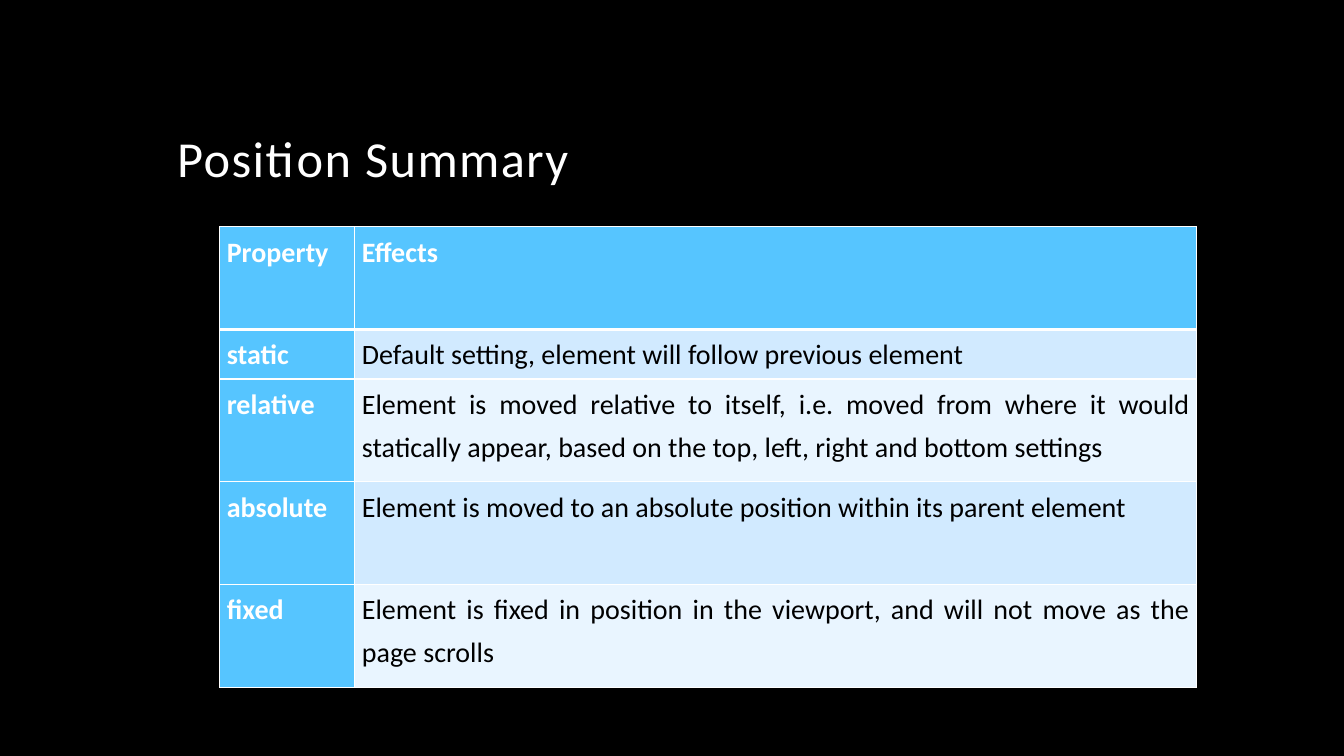
from lxml import etree
from pptx import Presentation
from pptx import util as u
from pptx.dml.color import RGBColor
from pptx.enum import text
from pptx.oxml.ns import qn

PX = 9144  # EMU per px, 100 px to the inch
FONT = "Calibri"
WHITE, BLACK, SKY = "FFFFFF", "000000", "56C5FF"
BANDS = ("D1EAFF", "E9F5FF")
COLUMN_WIDTHS = (134, 835)
ROW_HEIGHTS = (102, 49, 102, 102, 102)
ROWS = (
    ("Property", "Effects"),
    ("static", "Default setting, element will follow previous element"),
    ("relative", "Element is moved relative to itself, i.e. moved from where it would "
                 "statically appear, based on the top, left, right and bottom settings"),
    ("absolute", "Element is moved to an absolute position within its parent element"),
    ("fixed", "Element is fixed in position in the viewport, and will not move as the page scrolls"),
)


def px(*lengths):
    return [u.Emu(length * PX) for length in lengths]


def paint(fill, color):
    fill.solid()
    fill.fore_color.rgb = RGBColor.from_string(color)


def write(paragraph, wording, size, color, spacing, bold=False):
    paragraph.text = wording
    paragraph.line_spacing = spacing
    font = paragraph.font
    font.name, font.size, font.bold = FONT, u.Pt(size), bold
    paint(font.fill, color)


def add_title(slide, box, wording):
    frame = slide.shapes.add_textbox(*px(*box)).text_frame
    frame.word_wrap = True
    frame.vertical_anchor = text.MSO_ANCHOR.BOTTOM
    heading = frame.paragraphs[0]
    write(heading, wording, 36, WHITE, 0.9)
    heading.runs[0].font._element.set("spc", "100")


def add_borders(cell, widths):
    """Draw white edges; widths holds points for each side."""
    properties = cell._tc.get_or_add_tcPr()
    for side, points in widths.items():
        line = etree.SubElement(properties, qn(f"a:ln{side}"), w=str(u.Pt(points)))
        solid = etree.SubElement(line, qn("a:solidFill"))
        etree.SubElement(solid, qn("a:srgbClr"), val=WHITE)


def fill_cell(cell, wording, row, column):
    cell.margin_left, cell.margin_right, cell.margin_top, cell.margin_bottom = px(7, 7, 0, 0)
    is_header = row == 0 or column == 0
    add_borders(cell, {"L": 1, "R": 1, "T": 3 if row == 1 else 1, "B": 3 if row == 0 else 1})
    paint(cell.fill, SKY if is_header else BANDS[(row - 1) % 2])
    paragraph = cell.text_frame.paragraphs[0]
    write(paragraph, wording, 20, WHITE if is_header else BLACK, 1.25, is_header)
    paragraph.alignment = text.PP_ALIGN.JUSTIFY


def add_property_table(slide, left, top):
    box = px(left, top, sum(COLUMN_WIDTHS), sum(ROW_HEIGHTS))
    table = slide.shapes.add_table(len(ROWS), len(COLUMN_WIDTHS), *box).table
    for column, width in zip(table.columns, px(*COLUMN_WIDTHS)):
        column.width = width
    for row, height in zip(table.rows, px(*ROW_HEIGHTS)):
        row.height = height
    for r, wordings in enumerate(ROWS):
        for c, wording in enumerate(wordings):
            fill_cell(table.cell(r, c), wording, r, c)


def main():
    deck = Presentation()
    deck.slide_width, deck.slide_height = px(1333, 750)
    slide = deck.slides.add_slide(deck.slide_layouts[6])
    paint(slide.background.fill, BLACK)
    add_title(slide, (166, 42, 1000, 150), "Position Summary")
    add_property_table(slide, 218, 225)
    deck.save("out.pptx")


if __name__ == "__main__":
    main()
